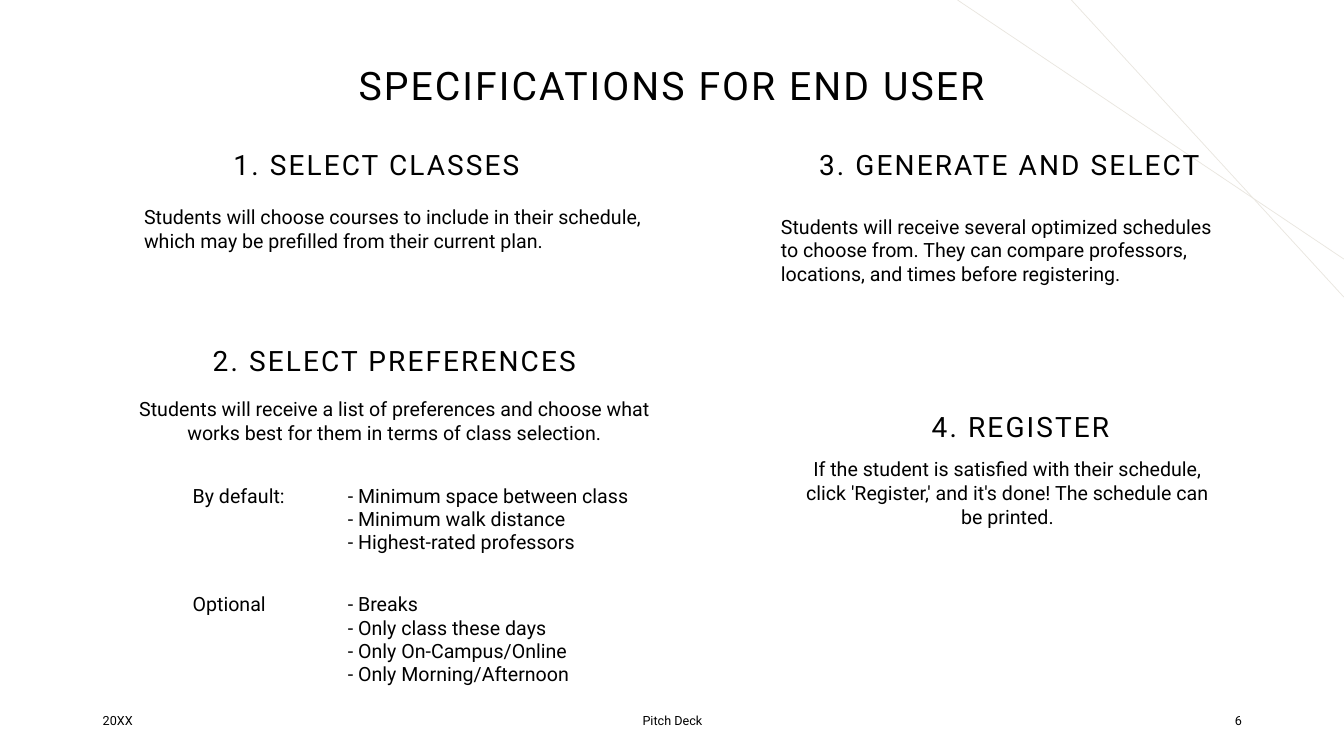
"""Build the slide that lists the four end user steps of the schedule planner."""
from lxml import etree
from pptx import Presentation
from pptx.dml.color import RGBColor
from pptx.enum.shapes import MSO_CONNECTOR
from pptx.enum.text import MSO_ANCHOR, PP_ALIGN
from pptx.oxml.ns import qn
from pptx.util import Cm, Pt

LEFT, CENTER, RIGHT = PP_ALIGN.LEFT, PP_ALIGN.CENTER, PP_ALIGN.RIGHT
TOP, MIDDLE = MSO_ANCHOR.TOP, MSO_ANCHOR.MIDDLE
STRAIGHT = MSO_CONNECTOR.STRAIGHT

BLACK = RGBColor(0x00, 0x00, 0x00)
WHITE = RGBColor(0xFF, 0xFF, 0xFF)
SAND = RGBColor(0xE9, 0xE6, 0xDF)
FONT = "Roboto"

SLIDE_WIDTH, SLIDE_HEIGHT = 33.87, 19.05
HEADING_WIDTH, HEADING_HEIGHT = 11.2, 1.02
FOOTER_TOP, FOOTER_HEIGHT = 17.65, 1.02

TITLE = ("SPECIFICATIONS FOR END USER", (5.23, 0.38, 23.4, 3.68))

HEADINGS = [
    ("1. SELECT CLASSES", 3.89, 3.76),
    ("2. SELECT PREFERENCES", 4.34, 8.69),
    ("3. GENERATE AND SELECT", 19.84, 3.76),
    ("4. REGISTER", 20.12, 10.36),
]

DESCRIPTIONS = [
    ("Students will choose courses to include in their schedule, "
     "which may be prefilled from their current plan.",
     (3.38, 5.05, 13.56, 1.93), LEFT),
    ("Students will receive a list of preferences and choose what "
     "works best for them in terms of class selection.",
     (2.54, 9.88, 14.81, 1.93), CENTER),
    ("Students will receive several optimized schedules to choose from. "
     "They can compare professors, locations, and times before registering.",
     (19.43, 5.28, 11.89, 2.95), LEFT),
    ("If the student is satisfied with their schedule, click 'Register,' "
     "and it's done! The schedule can be printed.",
     (19.79, 11.4, 11.2, 2.95), CENTER),
]

PREFERENCES = [
    ("By default:", ["- Minimum space between class",
                     "- Minimum walk distance",
                     "- Highest-rated professors"]),
    ("Optional", ["- Breaks",
                  "- Only class these days",
                  "- Only On-Campus/Online",
                  "- Only Morning/Afternoon"]),
]
TABLE_LEFT, TABLE_TOP = 4.6, 12.09
COLUMN_WIDTHS = [3.91, 8.43]
ROW_HEIGHTS = [2.74, 3.48]

FOOTERS = [
    ("20XX", 2.34, 7.62, LEFT),
    ("Pitch Deck", 11.23, 11.43, CENTER),
    ("6", 23.93, 7.62, RIGHT),
]

CORNER_LINES = [((24.13, 0), (SLIDE_WIDTH, 6.53)),
                ((27, 0), (SLIDE_WIDTH, 7.49))]


def format_text(frame, size, align=LEFT, line_spacing=None, before=0, tracking=0):
    """Style every paragraph and run of a text frame."""
    for para in frame.paragraphs:
        para.alignment = align
        para.space_before = Pt(before)
        if line_spacing:
            para.line_spacing = line_spacing
        for span in para.runs:
            span.font.name = FONT
            span.font.size = Pt(size)
            span.font.bold = False
            span.font.color.rgb = BLACK
            if tracking:
                span.font._element.set("spc", str(int(tracking * 100)))


def add_text(page, text, place, size, anchor=TOP, **style):
    """Place a wrapped text box given as left, top, width, height in cm."""
    box = page.shapes.add_textbox(*(Cm(length) for length in place))
    frame = box.text_frame
    frame.word_wrap = True
    frame.vertical_anchor = anchor
    frame.text = text
    format_text(frame, size, **style)


def add_corner_line(page, start, end):
    """Draw a thin line across the upper right corner."""
    line = page.shapes.add_connector(STRAIGHT, *(Cm(length) for length in start + end))
    line.line.color.rgb = SAND
    line.line.width = Pt(0.5)
    etree.SubElement(line._element.spPr, qn("a:effectLst"))


def add_preferences(page):
    """Add the table of default and optional preferences."""
    table = page.shapes.add_table(
        len(PREFERENCES), len(COLUMN_WIDTHS), Cm(TABLE_LEFT), Cm(TABLE_TOP),
        Cm(sum(COLUMN_WIDTHS)), Cm(sum(ROW_HEIGHTS))).table
    table.first_row = False
    table.horz_banding = False
    for column, width in zip(table.columns, COLUMN_WIDTHS):
        column.width = Cm(width)
    for row, height, (label, choices) in zip(table.rows, ROW_HEIGHTS, PREFERENCES):
        row.height = Cm(height)
        for cell, text in zip(row.cells, (label, "\n".join(choices))):
            cell.fill.background()
            cell.text_frame.text = text
            format_text(cell.text_frame, 14)


def main():
    """Assemble and save the deck."""
    deck = Presentation()
    deck.slide_width, deck.slide_height = Cm(SLIDE_WIDTH), Cm(SLIDE_HEIGHT)
    page = deck.slides.add_slide(deck.slide_layouts[6])
    page.background.fill.solid()
    page.background.fill.fore_color.rgb = WHITE

    for start, end in CORNER_LINES:
        add_corner_line(page, start, end)
    text, place = TITLE
    add_text(page, text, place, 28, MIDDLE, align=CENTER, line_spacing=0.9, tracking=1.5)
    for text, left, top in HEADINGS:
        add_text(page, text, (left, top, HEADING_WIDTH, HEADING_HEIGHT), 20,
                 align=CENTER, line_spacing=0.8, before=10, tracking=1.5)
    for text, place, align in DESCRIPTIONS:
        add_text(page, text, place, 14, align=align, before=10)
    add_preferences(page)
    for text, left, width, align in FOOTERS:
        add_text(page, text, (left, FOOTER_TOP, width, FOOTER_HEIGHT), 9, MIDDLE, align=align)

    deck.save("out.pptx")


if __name__ == "__main__":
    main()
